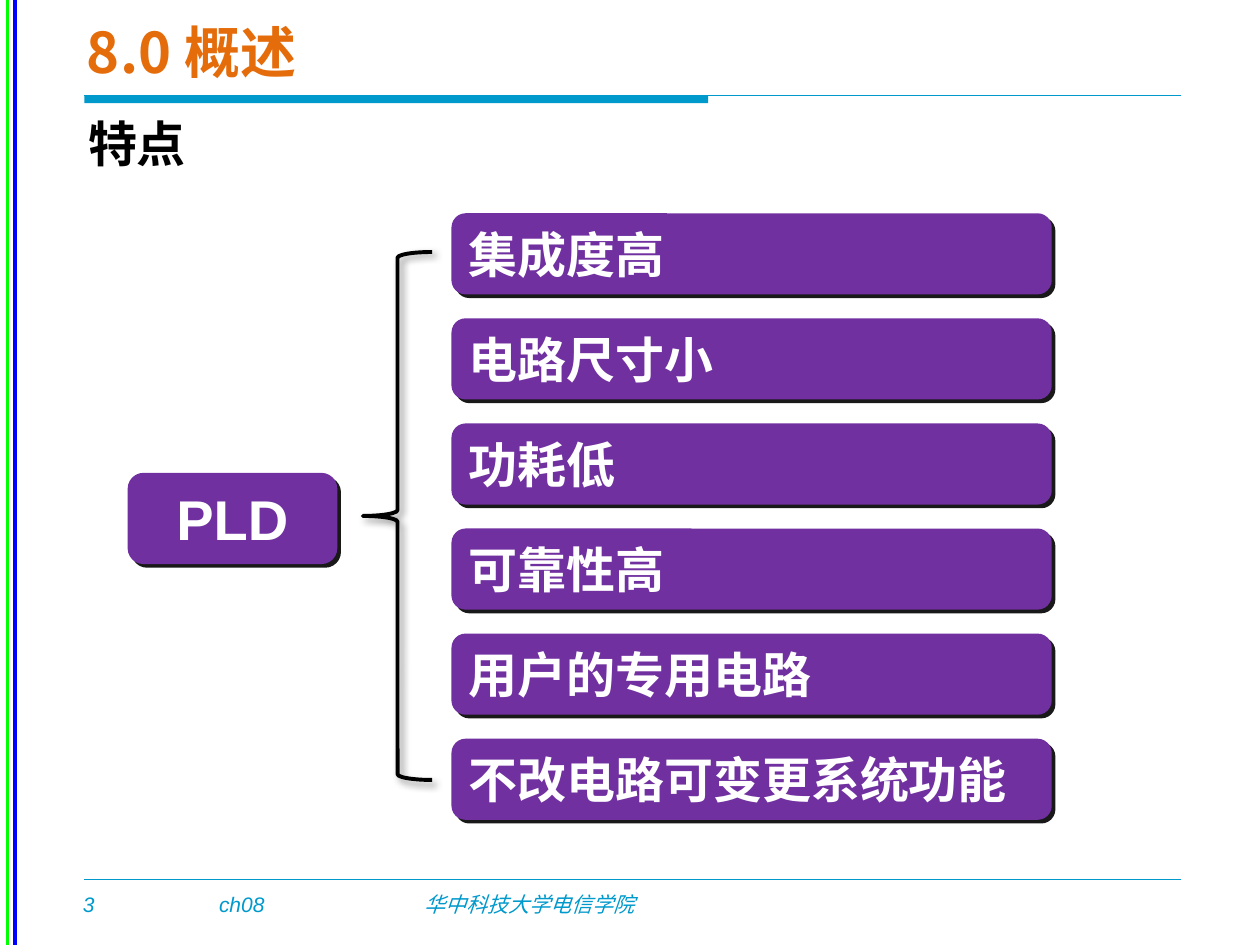
from lxml.etree import SubElement
from pptx import Presentation
from pptx.dml.color import RGBColor
from pptx.enum.shapes import MSO_CONNECTOR, MSO_SHAPE
from pptx.enum.text import MSO_ANCHOR, MSO_AUTO_SIZE, PP_ALIGN
from pptx.oxml.ns import qn
from pptx.util import Inches, Pt

BLACK = RGBColor(0x00, 0x00, 0x00)
WHITE = RGBColor(0xFF, 0xFF, 0xFF)
BLUE = RGBColor(0x00, 0x00, 0xFF)
GREEN = RGBColor(0x00, 0xFF, 0x00)
TEAL = RGBColor(0x00, 0x99, 0xCC)
ORANGE = RGBColor(0xE4, 0x6C, 0x0A)
PURPLE = RGBColor(0x70, 0x30, 0xA0)

CHINESE_FONT = "Noto Sans CJK SC"
FEATURES = ["集成度高", "电路尺寸小", "功耗低", "可靠性高",
            "用户的专用电路", "不改电路可变更系统功能"]
FIRST_FEATURE_TOP, LAST_FEATURE_TOP = 1.7, 5.87


def set_text(shape, text, size, color, font="Arial", bold=False, italic=False,
             align=PP_ALIGN.LEFT):
    text_frame = shape.text_frame
    text_frame.text = text
    paragraph = text_frame.paragraphs[0]
    paragraph.alignment = align
    run = paragraph.runs[0]
    run.font.name = font
    run.font.size = Pt(size)
    run.font.bold = bold
    run.font.italic = italic
    run.font.color.rgb = color
    east_asian = SubElement(run.font._element, qn("a:ea"))
    east_asian.set("typeface", CHINESE_FONT)


def add_line(slide, x1, y1, x2, y2, color, width):
    line = slide.shapes.add_connector(
        MSO_CONNECTOR.STRAIGHT, Inches(x1), Inches(y1), Inches(x2), Inches(y2))
    line.line.color.rgb = color
    line.line.width = Pt(width)
    SubElement(line._element.spPr, qn("a:effectLst"))


def add_shadow(shape, blur, opacity):
    """Cast a black shadow 3 pt towards the lower right."""
    shape.shadow.inherit = False
    effects = shape._element.spPr.find(qn("a:effectLst"))
    shadow = SubElement(effects, qn("a:outerShdw"), blurRad=str(Pt(blur)),
                        dist=str(Pt(3)), dir="2700000", algn="tl", rotWithShape="0")
    color = SubElement(shadow, qn("a:srgbClr"), val=str(BLACK))
    SubElement(color, qn("a:alpha"), val=str(opacity * 1000))


def add_text(slide, left, top, width, height, text, size, color, wrap=True, **style):
    box = slide.shapes.add_textbox(
        Inches(left), Inches(top), Inches(width), Inches(height))
    box.text_frame.word_wrap = wrap
    set_text(box, text, size, color, **style)


def add_box(slide, left, top, width, height, text, size, align):
    box = slide.shapes.add_shape(
        MSO_SHAPE.ROUNDED_RECTANGLE,
        Inches(left), Inches(top), Inches(width), Inches(height))
    box.fill.solid()
    box.fill.fore_color.rgb = PURPLE
    box.line.color.rgb = PURPLE
    box.line.width = Pt(1)
    add_shadow(box, blur=0, opacity=90)
    box.text_frame.word_wrap = True
    box.text_frame.vertical_anchor = MSO_ANCHOR.MIDDLE
    set_text(box, text, size, WHITE, bold=True, align=align)


def add_brace(slide):
    brace = slide.shapes.add_shape(
        MSO_SHAPE.LEFT_BRACE, Inches(2.88), Inches(2), Inches(0.55), Inches(4.19))
    brace.fill.background()
    brace.line.color.rgb = BLACK
    brace.line.width = Pt(2.25)
    add_shadow(brace, blur=4, opacity=40)


def add_frame(slide):
    """Draw the side stripes, the title rule and the footer."""
    add_line(slide, 0.12, 0, 0.12, 7.5, BLUE, 2)
    add_line(slide, 0.06, 0, 0.06, 7.5, GREEN, 2)
    bar = slide.shapes.add_shape(
        MSO_SHAPE.RECTANGLE, Inches(0.67), Inches(0.76), Inches(4.95), Inches(0.06))
    bar.shadow.inherit = False
    bar.fill.solid()
    bar.fill.fore_color.rgb = TEAL
    bar.line.fill.background()
    add_line(slide, 0.67, 0.76, 9.37, 0.76, TEAL, 0.5)
    add_line(slide, 0.67, 6.98, 9.37, 6.98, TEAL, 1)
    footer = [(0.56, 0.41, "3", False), (1.64, 0.8, "ch08", True),
              (3.27, 2.65, "华中科技大学电信学院", True)]
    for left, width, text, wrap in footer:
        add_text(slide, left, 7.03, width, 0.3, text, 12, TEAL, wrap=wrap, italic=True)


def add_title(slide, text):
    title = slide.shapes.title
    title.left, title.top = Inches(0.59), Inches(0.05)
    title.width, title.height = Inches(7.21), Inches(0.71)
    title.text_frame.auto_size = MSO_AUTO_SIZE.NONE
    title.text_frame.vertical_anchor = MSO_ANCHOR.MIDDLE
    set_text(title, text, 32, ORANGE, font=CHINESE_FONT, bold=True)


def main():
    presentation = Presentation()
    presentation.slide_width = Inches(10)
    presentation.slide_height = Inches(7.5)
    slide = presentation.slides.add_slide(presentation.slide_layouts[5])

    add_frame(slide)
    add_title(slide, "8.0 概述")
    add_text(slide, 0.6, 0.85, 9.08, 0.57, "特点", 28, BLACK, font="Calibri", bold=True)
    add_box(slide, 1.02, 3.76, 1.65, 0.71, "PLD", 32, PP_ALIGN.CENTER)
    add_brace(slide)
    pitch = (LAST_FEATURE_TOP - FIRST_FEATURE_TOP) / (len(FEATURES) - 1)
    for index, feature in enumerate(FEATURES):
        top = FIRST_FEATURE_TOP + index * pitch
        add_box(slide, 3.59, top, 4.75, 0.63, feature, 28, PP_ALIGN.JUSTIFY)

    presentation.save("out.pptx")


if __name__ == "__main__":
    main()
